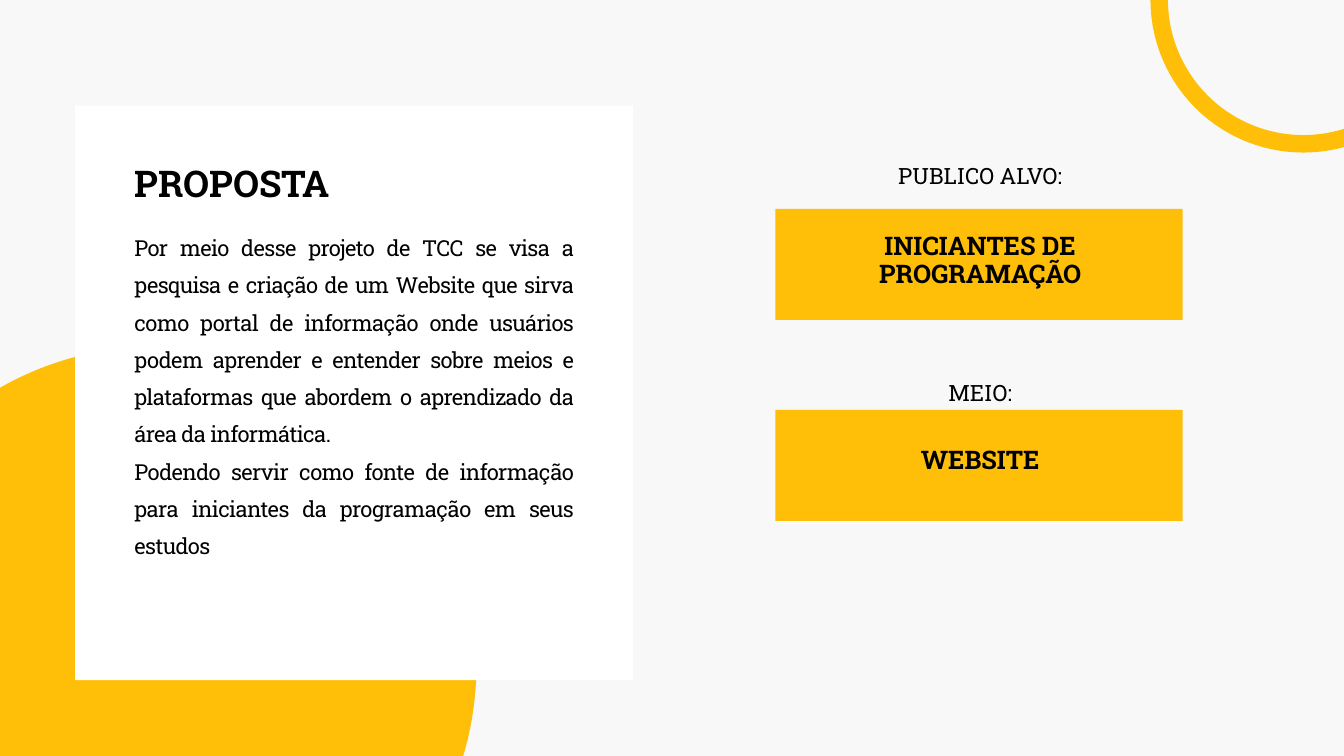
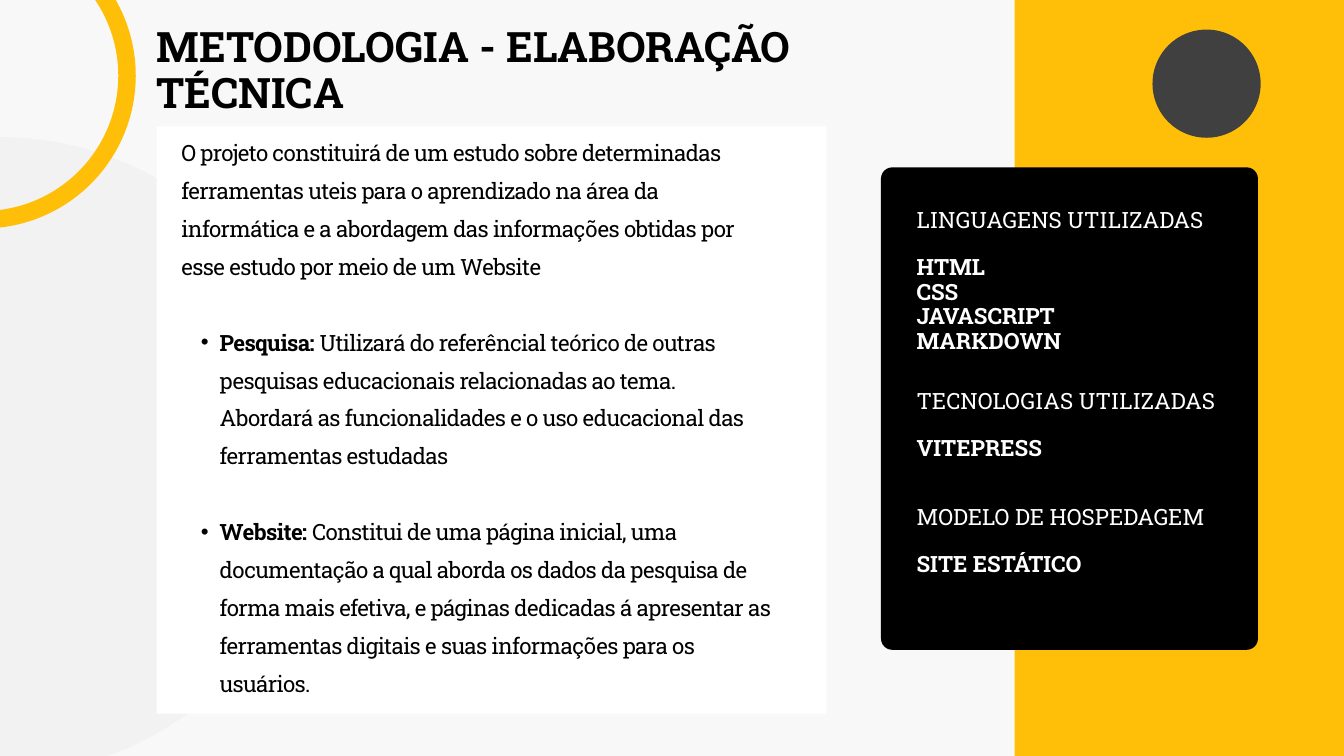
from dataclasses import dataclass

from lxml import etree
from pptx import Presentation
from pptx.dml.color import RGBColor
from pptx.enum.shapes import MSO_SHAPE
from pptx.enum.text import MSO_ANCHOR, MSO_AUTO_SIZE, PP_ALIGN
from pptx.oxml.ns import qn
from pptx.util import Inches, Pt

RECTANGLE = MSO_SHAPE.RECTANGLE
ROUNDED = MSO_SHAPE.ROUNDED_RECTANGLE
OVAL = MSO_SHAPE.OVAL
LEFT, CENTER, JUSTIFY = PP_ALIGN.LEFT, PP_ALIGN.CENTER, PP_ALIGN.JUSTIFY
TOP = MSO_ANCHOR.TOP
NO_FIT = MSO_AUTO_SIZE.NONE
TITLE_AND_CONTENT = 1


@dataclass(frozen=True)
class Theme:
    font: str = "Roboto Slab"
    page: RGBColor = RGBColor(0xF8, 0xF8, 0xF8)
    accent: RGBColor = RGBColor(0xFF, 0xBF, 0x08)
    white: RGBColor = RGBColor(0xFF, 0xFF, 0xFF)
    black: RGBColor = RGBColor(0, 0, 0)
    pale: RGBColor = RGBColor(0xF2, 0xF2, 0xF2)
    dark: RGBColor = RGBColor(0x40, 0x40, 0x40)
    large_title: float = 44.9
    title: float = 39.4
    highlight: float = 27.4
    text: float = 24
    small_text: float = 23.6
    ring_width: float = 18.75
    tight_lines: float = 1.1
    open_lines: float = 1.69
    tracking: int = -70


THEME = Theme()


def write_text(shape, paragraphs, size=THEME.text, color=THEME.black, bold=False,
               align=LEFT, lines=THEME.tight_lines, tracking=0):
    """Each paragraph is a string, or a (bold lead, rest) pair for a bullet."""
    frame = shape.text_frame
    frame.word_wrap = True
    frame.auto_size = NO_FIT
    frame.vertical_anchor = TOP
    frame.margin_left = frame.margin_right = frame.margin_top = frame.margin_bottom = 0
    line_height = Pt(round(size * lines, 1))

    for index, content in enumerate(paragraphs):
        para = frame.paragraphs[0] if index == 0 else frame.add_paragraph()
        bulleted = isinstance(content, tuple)
        set_bullet(para, bulleted)
        para.alignment = align
        para.line_spacing = line_height
        para.space_before = line_height if bulleted and index else Pt(0)
        para.space_after = Pt(0)
        spans = zip(content, (True, False)) if bulleted else [(content, bold)]
        for words, is_bold in spans:
            span = para.add_run()
            span.text = words
            span.font.name = THEME.font
            span.font.size = Pt(size)
            span.font.bold = is_bold
            span.font.color.rgb = color
            if tracking:
                span.font._element.set("spc", str(tracking))


def set_bullet(para, bulleted):
    properties = para._p.get_or_add_pPr()
    properties.set("marL", str(Inches(0.57) if bulleted else 0))
    properties.set("indent", str(Inches(-0.28) if bulleted else 0))
    if bulleted:
        para.level = 1
        etree.SubElement(properties, qn("a:buFont"), typeface="Arial")
        etree.SubElement(properties, qn("a:buChar"), char="•")
    else:
        etree.SubElement(properties, qn("a:buNone"))


class Page:
    """Holds the deck's style and the slide being built."""

    def __init__(self, deck):
        self.slide = deck.slides.add_slide(deck.slide_layouts[TITLE_AND_CONTENT])

    def shape(self, kind, left, top, width, height, fill=None, line=None, corner=None):
        shape = self.slide.shapes.add_shape(
            kind, Inches(left), Inches(top), Inches(width), Inches(height))
        shape.shadow.inherit = False
        if fill is None:
            shape.fill.background()
        else:
            shape.fill.solid()
            shape.fill.fore_color.rgb = fill
        if line is None:
            shape.line.fill.background()
        else:
            shape.line.color.rgb = line
            shape.line.width = Pt(THEME.ring_width)
        if corner is not None:
            shape.adjustments[0] = corner
        return shape

    def disc(self, left, top, diameter, fill):
        self.shape(OVAL, left, top, diameter, diameter, fill)

    def ring(self, left, top):
        self.shape(OVAL, left, top, 4.29, 4.29, line=THEME.accent)

    def text(self, left, top, width, height, *paragraphs, **style):
        box = self.slide.shapes.add_textbox(
            Inches(left), Inches(top), Inches(width), Inches(height))
        write_text(box, paragraphs, **style)

    def placeholder(self, holder, left, top, width, height, paragraphs, **style):
        holder.left, holder.top = Inches(left), Inches(top)
        holder.width, holder.height = Inches(width), Inches(height)
        # Bring it in front of the shapes drawn so far
        self.slide.shapes._spTree.append(holder._element)
        write_text(holder, paragraphs, **style)

    def title(self, left, top, width, height, words, size):
        self.placeholder(self.slide.shapes.title, left, top, width, height,
                         [words], size=size, bold=True)

    def body(self, left, top, width, height, *paragraphs, **style):
        self.placeholder(self.slide.placeholders[1], left, top, width, height,
                         paragraphs, lines=THEME.open_lines,
                         tracking=THEME.tracking, **style)


def build_proposal(deck):
    page = Page(deck)
    page.disc(-2.4, 5.15, 9.49, THEME.accent)
    page.ring(17.25, -2.15)

    # Proposal card
    page.shape(RECTANGLE, 1.12, 1.57, 8.3, 8.55, THEME.white)
    page.title(2, 2.45, 5.67, 0.61, "PROPOSTA", THEME.title)
    page.body(
        2, 3.33, 6.53, 4.93,
        "Por meio desse projeto de TCC se visa a pesquisa e criação de um Website "
        "que sirva como portal de informação onde usuários podem aprender e entender "
        "sobre meios e plataformas que abordem o aprendizado da área da informática.",
        "Podendo servir como fonte de informação para iniciantes da programação em "
        "seus estudos",
        size=THEME.small_text, align=JUSTIFY)

    # Audience and medium: label, banner, banner text
    for label, label_top, banner_top, words, words_top, words_height in (
            ("PUBLICO ALVO:", 2.44, 3.11, "INICIANTES DE PROGRAMAÇÃO", 3.46, 0.84),
            ("MEIO:", 5.68, 6.1, "WEBSITE", 6.65, 0.43)):
        page.shape(RECTANGLE, 11.54, banner_top, 6.06, 1.65, THEME.accent)
        page.text(11.82, words_top, 5.53, words_height, words,
                  size=THEME.highlight, bold=True, align=CENTER)
        page.text(12.52, label_top, 4.13, 0.37, label, align=CENTER)


def build_methodology(deck):
    page = Page(deck)
    page.disc(-4.75, 2.04, 9.49, THEME.pale)

    # Method card
    page.shape(RECTANGLE, 2.33, 1.88, 9.97, 8.74, THEME.white)
    page.ring(-2.4, -1.02)
    page.body(
        2.7, 1.91, 8.76, 8.39,
        "O projeto constituirá de um estudo sobre determinadas ferramentas uteis para "
        "o aprendizado na área da informática e a abordagem das informações obtidas "
        "por esse estudo por meio de um Website",
        ("Pesquisa:",
         " Utilizará do referêncial teórico de outras pesquisas educacionais "
         "relacionadas ao tema. Abordará as funcionalidades e o uso educacional das "
         "ferramentas estudadas"),
        ("Website:",
         " Constitui de uma página inicial, uma documentação a qual aborda os dados da "
         "pesquisa de forma mais efetiva, e páginas dedicadas á apresentar as "
         "ferramentas digitais e suas informações para os usuários."))

    # Side band
    page.shape(RECTANGLE, 15.1, -0.51, 5.43, 12.27, THEME.accent)
    page.disc(17.15, 0.44, 1.61, THEME.dark)
    page.title(2.33, 0.37, 10.97, 1.36, "METODOLOGIA - ELABORAÇÃO TÉCNICA",
               THEME.large_title)

    # Tools panel
    page.shape(ROUNDED, 13.11, 2.49, 5.61, 7.18, THEME.black, corner=0.03)
    for top, heading, tools in (
            (3.1, "LINGUAGENS UTILIZADAS", ("HTML", "CSS", "JAVASCRIPT", "MARKDOWN")),
            (5.79, "TECNOLOGIAS UTILIZADAS", ("VITEPRESS",)),
            (7.52, "MODELO DE HOSPEDAGEM", ("SITE ESTÁTICO",))):
        page.text(13.64, top, 4.55, 0.37, heading, color=THEME.white)
        page.text(13.64, top + 0.7, 4.55, 0.37 * len(tools), *tools,
                  color=THEME.white, bold=True)


def main():
    deck = Presentation()
    deck.slide_width, deck.slide_height = Inches(20), Inches(11.25)
    background = deck.slide_master.background.fill
    background.solid()
    background.fore_color.rgb = THEME.page
    build_proposal(deck)
    build_methodology(deck)
    deck.save("out.pptx")


if __name__ == "__main__":
    main()
